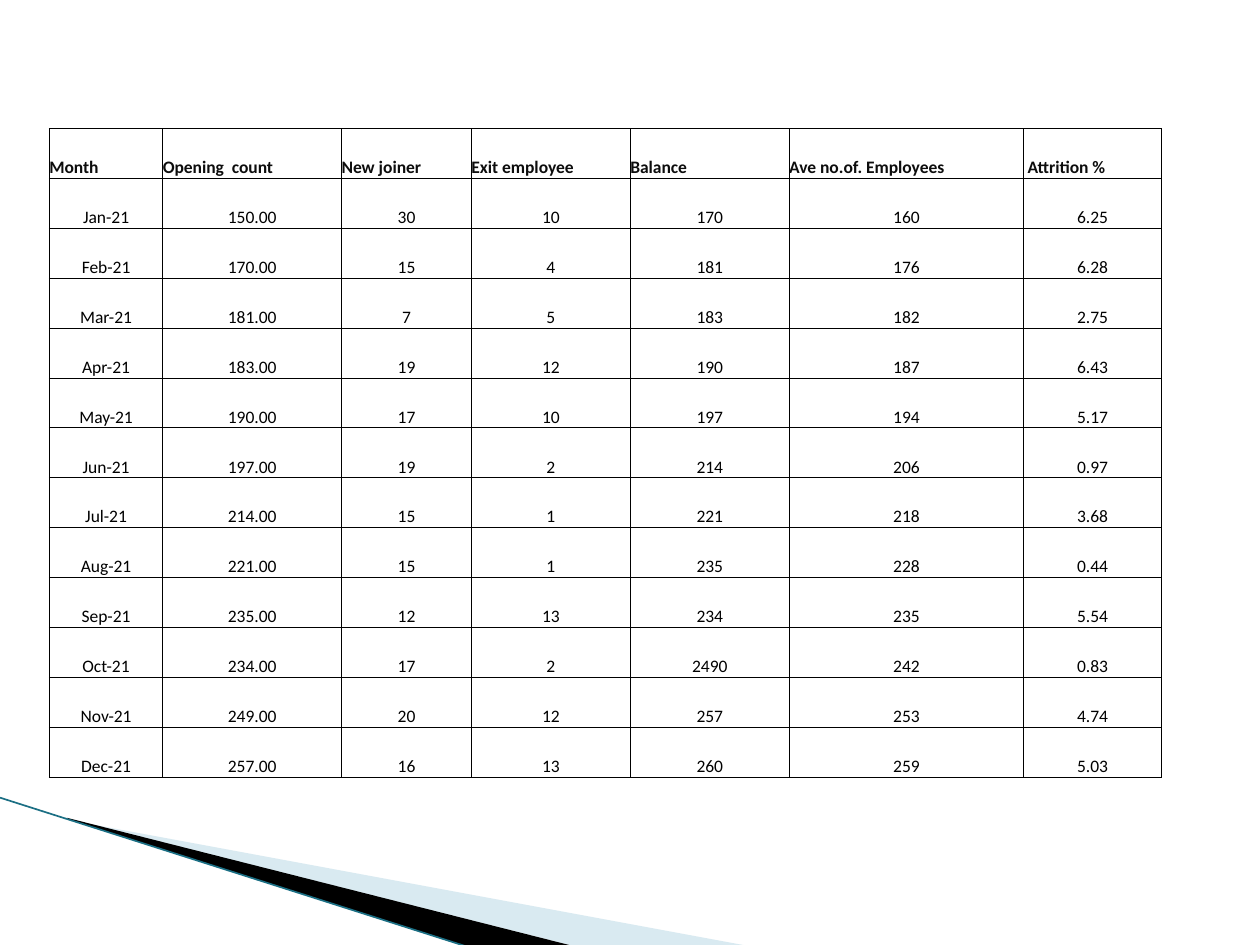
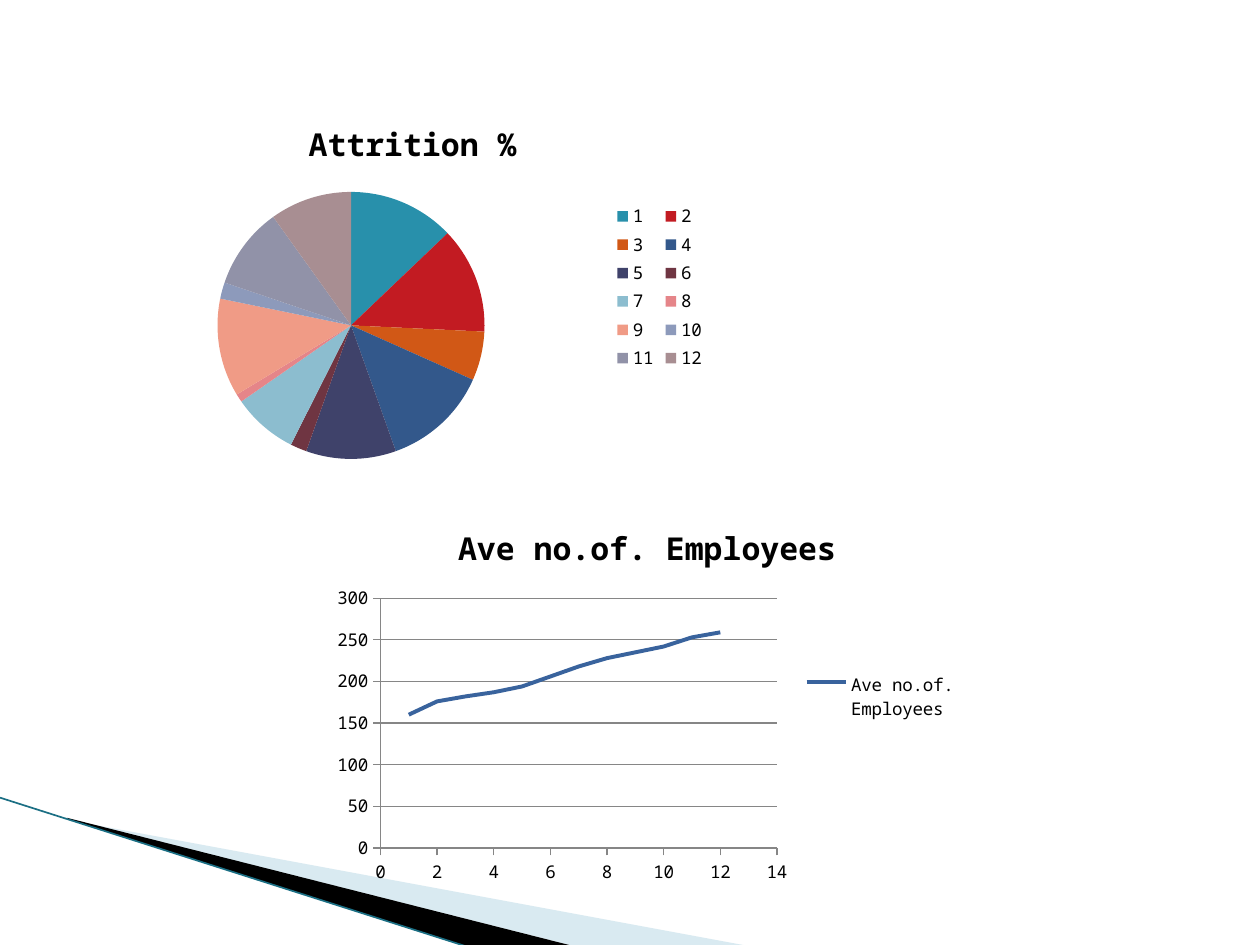
"""Build two slides on monthly attrition: the figures as a table, then as charts."""
import pptx
import pptx.chart.data
import pptx.dml.color
import pptx.enum.chart
import pptx.enum.shapes
import pptx.enum.text
import pptx.oxml
import pptx.util

Pt = pptx.util.Pt
RGB = pptx.dml.color.RGBColor
XL = pptx.enum.chart
PP_ALIGN = pptx.enum.text.PP_ALIGN
BOTTOM = pptx.enum.text.MSO_ANCHOR.BOTTOM
NS = ('xmlns:a="http://schemas.openxmlformats.org/drawingml/2006/main" '
      'xmlns:c="http://schemas.openxmlformats.org/drawingml/2006/chart"')

BLACK = RGB(0x00, 0x00, 0x00)
HEADING = RGB(0x0D, 0x0D, 0x0D)
PALE_BLUE = RGB(0xA0, 0xCB, 0xDC)
TEAL = RGB(0x1B, 0x6F, 0x84)
GREY = RGB(0x86, 0x86, 0x86)
BLUE = RGB(0x39, 0x63, 0x9D)
SLICES = [RGB.from_string(h) for h in (
    "2890AB", "C21B22", "D15816", "33588B", "3F426A", "6F3542",
    "8CBDCF", "E58589", "F09B86", "8D9ABB", "9192A8", "A88E92")]

HEADERS = ["Month", "Opening  count", "New joiner", "Exit employee", "Balance",
           "Ave no.of. Employees", " Attrition %"]
MONTHS = [
    ("Jan-21", "150.00", "30", "10", "170", "160", "6.25"),
    ("Feb-21", "170.00", "15", "4", "181", "176", "6.28"),
    ("Mar-21", "181.00", "7", "5", "183", "182", "2.75"),
    ("Apr-21", "183.00", "19", "12", "190", "187", "6.43"),
    ("May-21", "190.00", "17", "10", "197", "194", "5.17"),
    ("Jun-21", "197.00", "19", "2", "214", "206", "0.97"),
    ("Jul-21", "214.00", "15", "1", "221", "218", "3.68"),
    ("Aug-21", "221.00", "15", "1", "235", "228", "0.44"),
    ("Sep-21", "235.00", "12", "13", "234", "235", "5.54"),
    ("Oct-21", "234.00", "17", "2", "2490", "242", "0.83"),
    ("Nov-21", "249.00", "20", "12", "257", "253", "4.74"),
    ("Dec-21", "257.00", "16", "13", "260", "259", "5.03"),
]
COL_WIDTHS = [64.8, 102.2, 74.2, 90.8, 90.8, 134, 78.8]
ROW_HEIGHT = 28.52
TABLE_AT = (28.2, 73.4)

PALE_WEDGE = {"frame": (56.2, 393.8, 299.5, 113.8), "color": PALE_BLUE,
              "points": [(39.6, 468.7), (428.4, 540.7), (328.3, 540.7), (39.6, 468)]}
BLACK_WEDGE = {"frame": (-4.3, 455.8, 299.5, 66.2), "color": BLACK,
               "points": [(38.2, 467.3), (328, 540.7), (267.8, 541.4), (38.9, 468)]}
EDGE = (-0.7, 455.6, 267.1, 541)

PIE = {"box": (50.4, 56.2, 360, 216), "plot": (124.3, 109.7, 152.6, 152.6),
       "legend": (349.2, 114.2, 55.5, 100)}
TREND = {"box": (185.8, 286.8, 367.9, 222.5), "plot": (217.4, 341.9, 226.6, 142.7),
         "legend": (456.9, 383.9, 92, 28.9)}
CHART_FONT = {"name": "Noto Sans Mono", "size": Pt(10), "bold": False}
TITLE_FONT = {"name": "Noto Sans Mono", "size": Pt(18), "bold": True}
CELL_FONT = {"name": "Calibri", "size": Pt(10)}


def set_attrs(target, values):
    for name, value in values.items():
        setattr(target, name, value)


def set_font(font, values, color=BLACK):
    set_attrs(font, values)
    font.color.rgb = color


def set_frame(sp, frame):
    left, top, width, height = map(Pt, frame)
    for pt in sp.element.xpath(".//a:path//a:pt"):
        pt.set("x", str(int(pt.get("x")) + sp.left - left))
        pt.set("y", str(int(pt.get("y")) + sp.top - top))
    outline = sp.element.xpath(".//a:path")[0]
    outline.set("w", str(width))
    outline.set("h", str(height))
    set_attrs(sp, {"left": left, "top": top, "width": width, "height": height})


def add_wedge(s, wedge):
    start, *rest = wedge["points"]
    builder = s.shapes.build_freeform(*map(Pt, start))
    builder.add_line_segments([(Pt(x), Pt(y)) for x, y in rest])
    sp = builder.convert_to_shape()
    set_frame(sp, wedge["frame"])
    sp.shadow.inherit = False
    sp.fill.solid()
    sp.fill.fore_color.rgb = wedge["color"]
    sp.line.fill.background()
    return sp


def move_corner_to_layout(s, layout):
    for ph in list(layout.placeholders):
        layout.element.cSld.spTree.remove(ph.element)
    pale = add_wedge(s, PALE_WEDGE)
    rgb = pale.element.spPr.xpath("./a:solidFill/a:srgbClr")[0]
    rgb.append(pptx.oxml.parse_xml(f'<a:alpha {NS} val="40000"/>'))
    dark = add_wedge(s, BLACK_WEDGE)
    edge = s.shapes.add_connector(pptx.enum.shapes.MSO_CONNECTOR.STRAIGHT, *map(Pt, EDGE))
    edge.line.color.rgb = TEAL
    edge.line.width = Pt(0.95)
    edge.element.spPr.append(pptx.oxml.parse_xml(f"<a:effectLst {NS}/>"))
    for sp in (pale, dark, edge):
        layout.element.cSld.spTree.append(sp.element)


def add_borders(cell):
    tc_pr = cell._tc.get_or_add_tcPr()
    for side in "LRTB":
        tc_pr.append(pptx.oxml.parse_xml(
            f'<a:ln{side} {NS} w="{Pt(0.5)}"><a:solidFill><a:srgbClr val="{BLACK}"/>'
            f"</a:solidFill></a:ln{side}>"))


def add_month_table(s):
    rows = [HEADERS, *MONTHS]
    table = s.shapes.add_table(len(rows), len(HEADERS), *map(Pt, TABLE_AT),
                               Pt(sum(COL_WIDTHS)), Pt(ROW_HEIGHT * len(rows))).table
    set_attrs(table, {"first_row": False, "horz_banding": False})
    for column, width in zip(table.columns, COL_WIDTHS):
        column.width = Pt(width)
    for i, row in enumerate(rows):
        table.rows[i].height = Pt(ROW_HEIGHT)
        for j, text in enumerate(row):
            cell = table.cell(i, j)
            set_attrs(cell, {"margin_left": 0, "margin_right": 0, "margin_top": 0,
                             "margin_bottom": 0, "vertical_anchor": BOTTOM})
            add_borders(cell)
            cell.fill.background()
            p = cell.text_frame.paragraphs[0]
            p.alignment = PP_ALIGN.CENTER if i else PP_ALIGN.LEFT
            r = p.add_run()
            r.text = text
            set_font(r.font, {**CELL_FONT, "bold": i == 0}, BLACK if i else HEADING)


def place_part(chart, tag, index, part_box, chart_box, inner=""):
    left, top, width, height = chart_box
    x, y, w, h = part_box
    fractions = ((x - left) / width, (y - top) / height, w / width, h / height)
    part = chart.element.xpath(f".//c:{tag}")[0]
    for old in part.xpath("./c:layout"):
        part.remove(old)
    modes = "".join(f'<c:{n}Mode val="edge"/>' for n in "xy")
    sizes = "".join(f'<c:{n} val="{v:.4f}"/>' for n, v in zip("xywh", fractions))
    part.insert(index, pptx.oxml.parse_xml(
        f"<c:layout {NS}><c:manualLayout>{inner}{modes}{sizes}</c:manualLayout></c:layout>"))


def add_titled_chart(s, kind, data, title, place):
    box = place["box"]
    chart = s.shapes.add_chart(kind, *map(Pt, box), data).chart
    set_font(chart.font, CHART_FONT)
    set_attrs(chart, {"has_title": True, "has_legend": True})
    r = chart.chart_title.text_frame.paragraphs[0].add_run()
    r.text = title
    set_font(r.font, TITLE_FONT)
    set_attrs(chart.legend, {"position": XL.XL_LEGEND_POSITION.RIGHT,
                             "include_in_layout": False})
    place_part(chart, "plotArea", 0, place["plot"], box, '<c:layoutTarget val="inner"/>')
    place_part(chart, "legend", 1, place["legend"], box)
    return chart


def add_attrition_pie(s):
    rates = [float(row[6]) for row in MONTHS]
    data = pptx.chart.data.CategoryChartData()
    data.categories = [str(n) for n in range(1, len(MONTHS) + 1)]
    data.add_series(HEADERS[6], [round(100 * rate / sum(rates)) for rate in rates])
    chart = add_titled_chart(s, XL.XL_CHART_TYPE.PIE, data, HEADERS[6], PIE)
    chart.plots[0].vary_by_categories = True
    for i, color in enumerate(SLICES):
        fill = chart.plots[0].series[0].points[i].format.fill
        fill.solid()
        fill.fore_color.rgb = color


def add_employee_trend(s):
    data = pptx.chart.data.XyChartData()
    series = data.add_series(HEADERS[5])
    for n, row in enumerate(MONTHS, 1):
        series.add_data_point(n, int(row[5]))
    chart = add_titled_chart(s, XL.XL_CHART_TYPE.XY_SCATTER_LINES_NO_MARKERS,
                             data, HEADERS[5], TREND)
    chart.plots[0].vary_by_categories = False
    trend = chart.plots[0].series[0]
    trend.smooth = False
    trend.format.line.color.rgb = BLUE
    trend.format.line.width = Pt(2.25)
    for axis, top, step, grid in ((chart.category_axis, 14, 2, False),
                                  (chart.value_axis, 300, 50, True)):
        set_attrs(axis, {"minimum_scale": 0, "maximum_scale": top, "major_unit": step,
                         "major_tick_mark": XL.XL_TICK_MARK.OUTSIDE,
                         "minor_tick_mark": XL.XL_TICK_MARK.NONE,
                         "has_major_gridlines": grid})
        lines = [axis.format.line] + ([axis.major_gridlines.format.line] if grid else [])
        for line in lines:
            line.color.rgb = GREY
            line.width = Pt(0.75)


def main():
    prs = pptx.Presentation()
    set_attrs(prs, {"slide_width": Pt(720), "slide_height": Pt(540)})
    layout = prs.slide_layouts[6]
    table_slide, chart_slide = (prs.slides.add_slide(layout) for _ in range(2))
    move_corner_to_layout(table_slide, layout)
    add_month_table(table_slide)
    add_attrition_pie(chart_slide)
    add_employee_trend(chart_slide)
    prs.save("out.pptx")


if __name__ == "__main__":
    main()
